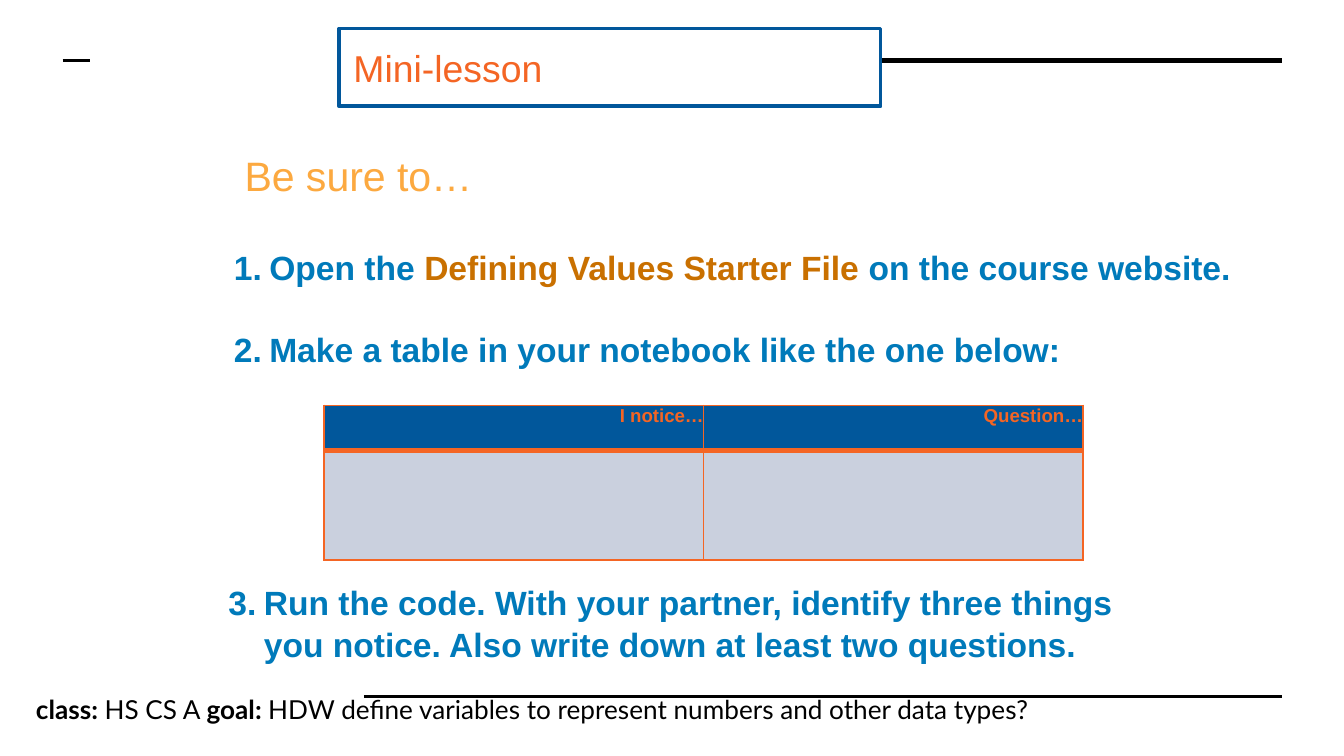
import pptx
import pptx.util
import pptx.dml.color
import pptx.enum.shapes
import pptx.enum.text
from lxml import etree

Pt = pptx.util.Pt
ANCHOR = pptx.enum.text.MSO_ANCHOR
ALIGN = pptx.enum.text.PP_ALIGN
NS = "http://schemas.openxmlformats.org/drawingml/2006/main"

# Content
BLUE, ORANGE, NAVY, BLACK = "007ABA", "F46524", "01579B", "000000"
TITLE = "Mini-lesson"
HEADING = "Be sure to…"
FIRST_STEPS = [
    [("Open the ", BLUE), ("Defining Values Starter File ", "C97000"),
     ("on the course website.", BLUE)],
    [("Make a table in your notebook like the one below:", BLUE)],
]
LAST_STEP = [[("Run the code. With your partner, identify three things you notice. "
               "Also write down at least two questions.", BLUE)]]
NOTE_ROWS = [["I notice…", "Question…"], ["", ""]]
ROW_STYLES = [(24.4, NAVY, 1, 3), (58.6, "CAD0DE", 3, 1)]  # height, fill, top, bottom
COLUMN_WIDTH = 203.2
FOOTER = [("class: ", True), ("HS CS A ", False), ("goal: ", True),
          ("HDW define variables to represent numbers and other data types?", False)]
RULES = [(195, 686.9, 32.4, 3), (195, 686.9, 373, 1.5), (33.6, 48, 32.4, 1.5)]


def color(value):
    return pptx.dml.color.RGBColor.from_string(value)


def add_child(parent, name, **attributes):
    return etree.SubElement(parent, f"{{{NS}}}{name}", **attributes)


def style(font, size, value, name="Arial", bold=False):
    font.size, font.name, font.bold = Pt(size), name, bold
    font.color.rgb = color(value)


def add_box(left, top, width, height, inset=0, wrap=True, anchor=ANCHOR.TOP):
    box = page.shapes.add_textbox(Pt(left), Pt(top), Pt(width), Pt(height))
    frame = box.text_frame
    frame.word_wrap, frame.vertical_anchor = wrap, anchor
    frame.margin_left = frame.margin_right = Pt(inset)
    frame.margin_top = frame.margin_bottom = Pt(inset)
    return frame


def add_steps(frame, steps, start=1):
    for index, spans in enumerate(steps):
        para = frame.add_paragraph() if index else frame.paragraphs[0]
        para.line_spacing = 1.06
        if index:
            para.space_before = Pt(21)
        settings = para._p.get_or_add_pPr()
        settings.set("marL", str(Pt(19)))
        settings.set("indent", str(-Pt(19)))
        add_child(settings, "buFont", typeface="Arial")
        add_child(settings, "buAutoNum", type="arabicPeriod", startAt=str(start))
        style(para.font, 18, BLUE, bold=True)
        for text, value in spans:
            span = para.add_run()
            span.text = text
            style(span.font, 18, value, bold=True)


def add_borders(cell, top, bottom):
    settings = cell._tc.get_or_add_tcPr()
    for side, width in (("L", 1), ("R", 1), ("T", top), ("B", bottom)):
        line = add_child(settings, f"ln{side}", w=str(Pt(width)))
        add_child(add_child(line, "solidFill"), "srgbClr", val=ORANGE)


deck = pptx.Presentation()
deck.slide_width, deck.slide_height = Pt(720), Pt(405)
page = deck.slides.add_slide(deck.slide_layouts[6])

# Rules
for left, right, top, width in RULES:
    rule = page.shapes.add_connector(
        pptx.enum.shapes.MSO_CONNECTOR.STRAIGHT, Pt(left), Pt(top), Pt(right), Pt(top))
    rule.line.color.rgb = color(BLACK)
    rule.line.width = Pt(width)
    add_child(rule._element.spPr, "effectLst")

# Footer
para = add_box(12.2, 364.3, 673.2, 45.4, inset=7.2).paragraphs[0]
for text, bold in FOOTER:
    span = para.add_run()
    span.text = text
    style(span.font, 14, BLACK, "Lato", bold)

# Title frame and title
title_frame = page.shapes.add_shape(
    pptx.enum.shapes.MSO_SHAPE.RECTANGLE, Pt(181.6), Pt(15.3), Pt(290.2), Pt(41.6))
title_frame.shadow.inherit = False
title_frame.fill.solid()
title_frame.fill.fore_color.rgb = color("FFFFFF")
title_frame.line.color.rgb = color(NAVY)
title_frame.line.width = Pt(2)
para = add_box(182.3, 15.9, 288.8, 40.4, inset=7.2, anchor=ANCHOR.MIDDLE).paragraphs[0]
para.text = TITLE
style(para.font, 20, ORANGE)

# Heading and steps
add_steps(add_box(125.3, 131, 565.2, 195.1), FIRST_STEPS)
para = add_box(131, 80.6, 123.1, 25.9, wrap=False).paragraphs[0]
para.text = HEADING
style(para.font, 22, "FCA940")

# Notebook table
table = page.shapes.add_table(
    len(NOTE_ROWS), 2, Pt(173.7), Pt(217.2), Pt(2 * COLUMN_WIDTH), Pt(83)).table
for column in table.columns:
    column.width = Pt(COLUMN_WIDTH)
for row, texts, (height, fill, top, bottom) in zip(table.rows, NOTE_ROWS, ROW_STYLES):
    row.height = Pt(height)
    for cell, text in zip(row.cells, texts):
        cell.margin_left = cell.margin_right = cell.margin_top = cell.margin_bottom = 0
        add_borders(cell, top, bottom)
        cell.fill.solid()
        cell.fill.fore_color.rgb = color(fill)
        para = cell.text_frame.paragraphs[0]
        para.text = text
        para.alignment = ALIGN.RIGHT
        style(para.font, 10, ORANGE, bold=True)

# Last step
add_steps(add_box(122.4, 310.3, 491.8, 43.9), LAST_STEP, start=3)

deck.save("out.pptx")
